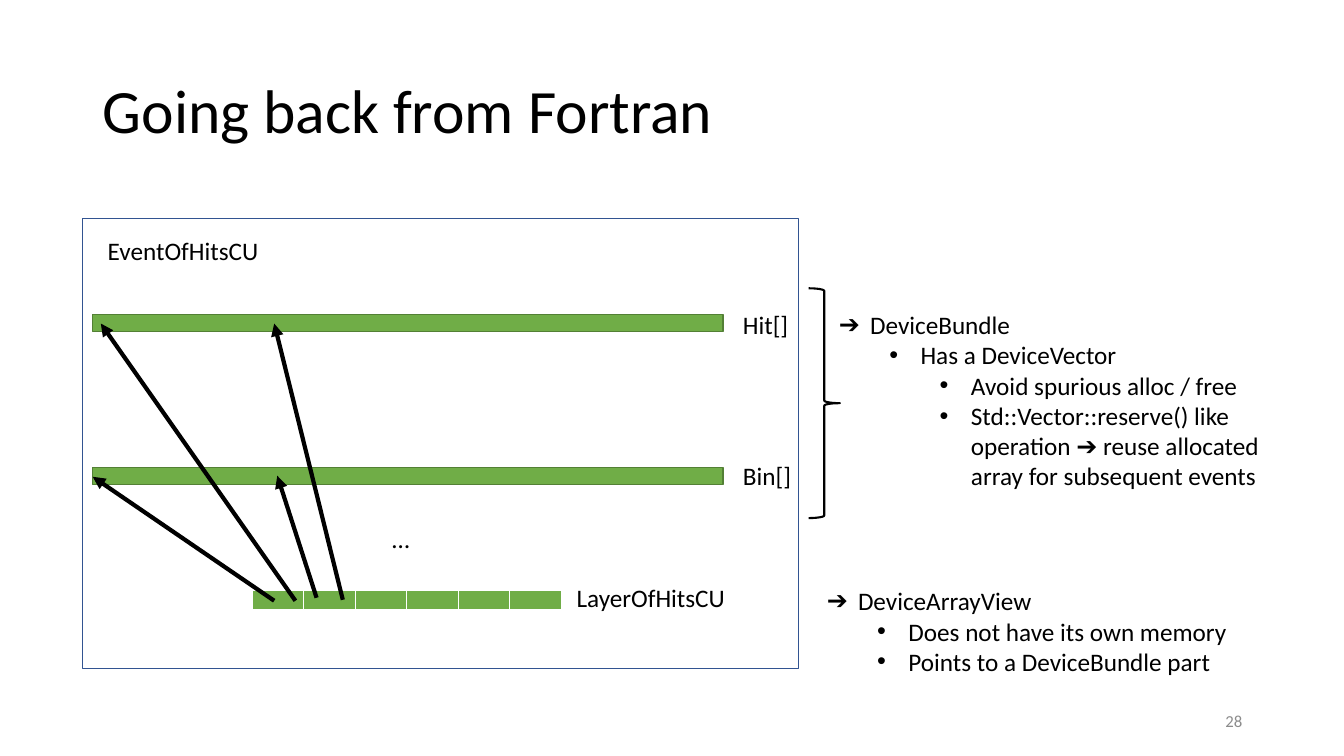
from dataclasses import dataclass
from typing import Any

from lxml import etree
from pptx import Presentation
from pptx.dml.color import RGBColor
from pptx.enum import shapes, text
from pptx.oxml import ns
from pptx import util as u

PX = 9144  # 100 px to the inch
FONT = "Calibri"
BLACK = RGBColor(0x00, 0x00, 0x00)
WHITE = RGBColor(0xFF, 0xFF, 0xFF)
GREY = RGBColor(0x8C, 0x8C, 0x8C)
GREEN = RGBColor(0x70, 0xAD, 0x47)
DARK_GREEN = RGBColor(0x53, 0x80, 0x35)
BLUE = RGBColor(0x32, 0x54, 0x91)

BULLETS = "➔••"
INDENT, LEVEL_STEP = 31, 50
LAYER_COUNT = 6
BORDERS = {"lnL": 1, "lnR": 1, "lnT": 1, "lnB": 3}

LABEL_FRAME = {"word_wrap": False, "auto_size": text.MSO_AUTO_SIZE.SHAPE_TO_FIT_TEXT}
LIST_FRAME = {"word_wrap": True, "auto_size": text.MSO_AUTO_SIZE.NONE,
              "vertical_anchor": text.MSO_ANCHOR.TOP}
MIDDLE_FRAME = LIST_FRAME | {"vertical_anchor": text.MSO_ANCHOR.MIDDLE}
TITLE_PARA = {"alignment": text.PP_ALIGN.LEFT, "line_spacing": 0.9}
LIST_PARA = {"alignment": text.PP_ALIGN.LEFT, "space_before": u.Pt(0)}
NUMBER_PARA = {"alignment": text.PP_ALIGN.RIGHT}


@dataclass(frozen=True)
class Area:
    left: int
    top: int
    width: int
    height: int

    def emu(self) -> list[int]:
        return [side * PX for side in (self.left, self.top, self.width, self.height)]


@dataclass(frozen=True)
class Outline:
    kind: shapes.MSO_SHAPE
    area: Area
    color: RGBColor
    weight: float
    fill: RGBColor | None = None


@dataclass(frozen=True)
class Label:
    words: str
    area: Area


@dataclass(frozen=True)
class Arrow:
    start: tuple[int, int]
    end: tuple[int, int]


@dataclass(frozen=True)
class Notes:
    area: Area
    items: list[tuple[int, str]]


RECT = shapes.MSO_SHAPE.RECTANGLE
BARS = [Outline(RECT, Area(92, top, 625, 17), DARK_GREEN, 1, GREEN) for top in (464, 312)]
FRAMES = [
    Outline(RECT, Area(82, 217, 710, 446), BLUE, 1),
    Outline(shapes.MSO_SHAPE.RIGHT_BRACE, Area(802, 286, 31, 228), BLACK, 1.5),
]
LABELS = [
    Label("Hit[]", Area(727, 302, 66, 40)),
    Label("Bin[]", Area(727, 452, 68, 40)),
    Label("LayerOfHitsCU", Area(562, 573, 169, 40)),
    Label("…", Area(379, 514, 38, 40)),
    Label("EventOfHitsCU", Area(97, 229, 171, 40)),
]
ARROWS = [
    Arrow((293, 596), (100, 321)),
    Arrow((272, 596), (92, 473)),
    Arrow((340, 595), (272, 321)),
    Arrow((314, 593), (275, 472)),
]
NOTES = [
    Notes(Area(822, 302, 476, 192), [
        (0, "DeviceBundle"),
        (1, "Has a DeviceVector"),
        (2, "Avoid spurious alloc / free"),
        (2, "Std::Vector::reserve() like operation ➔ reuse allocated array for subsequent events"),
    ]),
    Notes(Area(810, 576, 422, 101), [
        (0, "DeviceArrayView"),
        (1, "Does not have its own memory"),
        (1, "Points to a DeviceBundle part"),
    ]),
]


def apply(target: Any, values: dict[str, Any]) -> None:
    for name, value in values.items():
        setattr(target, name, value)


def add_xml(parent: Any, tag: str, **attributes: str) -> Any:
    return etree.SubElement(parent, ns.qn(f"a:{tag}"), attributes)


def write(para: Any, words: str, size: int = 18, color: RGBColor = BLACK) -> None:
    span = para.add_run()
    span.text = words
    apply(span.font, {"name": FONT, "size": u.Pt(size)})
    span.font.color.rgb = color


def place(box: Any, area: Area) -> None:
    apply(box, dict(zip(("left", "top", "width", "height"), area.emu())))


def draw_title(box: Any, words: str) -> None:
    place(box, Area(92, 40, 1150, 145))
    apply(box.text_frame, MIDDLE_FRAME)
    para = box.text_frame.paragraphs[0]
    apply(para, TITLE_PARA)
    write(para, words, 44)


def draw_outline(page: Any, outline: Outline) -> None:
    box = page.shapes.add_shape(outline.kind, *outline.area.emu())
    box.shadow.inherit = False
    if outline.fill is None:
        box.fill.background()
    else:
        box.fill.solid()
        box.fill.fore_color.rgb = outline.fill
    box.line.color.rgb = outline.color
    box.line.width = u.Pt(outline.weight)


def draw_layers(page: Any) -> None:
    area = Area(250, 586, 307, 20)
    table = page.shapes.add_table(1, LAYER_COUNT, *area.emu()).table
    for column in table.columns:
        column.width = area.width * PX // LAYER_COUNT
    for cell in table.iter_cells():
        apply(cell, dict.fromkeys(("margin_top", "margin_bottom"), 0))
        add_xml(cell.text_frame.paragraphs[0]._p, "endParaRPr", sz="600")
        properties = cell._tc.get_or_add_tcPr()
        for tag, points in BORDERS.items():
            border = add_xml(properties, tag, w=str(u.Pt(points)))
            add_xml(add_xml(border, "solidFill"), "srgbClr", val=str(WHITE))
        cell.fill.solid()
        cell.fill.fore_color.rgb = GREEN


def draw_label(page: Any, label: Label) -> None:
    frame = page.shapes.add_textbox(*label.area.emu()).text_frame
    apply(frame, LABEL_FRAME)
    write(frame.paragraphs[0], label.words)


def draw_arrow(page: Any, arrow: Arrow) -> None:
    ends = [value * PX for value in arrow.start + arrow.end]
    line = page.shapes.add_connector(shapes.MSO_CONNECTOR.STRAIGHT, *ends)
    line.line.color.rgb = BLACK
    line.line.width = u.Pt(3)
    properties = line._element.spPr
    add_xml(properties.find(ns.qn("a:ln")), "tailEnd", type="triangle")
    add_xml(properties, "effectLst")


def draw_notes(box: Any, notes: Notes) -> None:
    place(box, notes.area)
    frame = box.text_frame
    apply(frame, LIST_FRAME)
    for index, (level, words) in enumerate(notes.items):
        para = frame.add_paragraph() if index else frame.paragraphs[0]
        properties = para._p.get_or_add_pPr()
        properties.set("marL", str((INDENT + LEVEL_STEP * level) * PX))
        properties.set("indent", str(-INDENT * PX))
        add_xml(properties, "buFont", typeface="Arial" if level else FONT)
        add_xml(properties, "buChar", char=BULLETS[level])
        apply(para, LIST_PARA | {"level": level})
        write(para, words)


def draw_page_number(page: Any, number: str) -> None:
    frame = page.shapes.add_textbox(*Area(942, 695, 300, 40).emu()).text_frame
    apply(frame, MIDDLE_FRAME)
    apply(frame.paragraphs[0], NUMBER_PARA)
    write(frame.paragraphs[0], number, 12, GREY)


def main() -> None:
    deck = Presentation()
    apply(deck, {"slide_width": 1333 * PX, "slide_height": 750 * PX})
    page = deck.slides.add_slide(deck.slide_layouts.get_by_name("Two Content"))
    title, *bodies = page.placeholders
    draw_title(title, "Going back from Fortran")
    for body, notes in zip(bodies, NOTES):
        draw_notes(body, notes)
    for bar in BARS:
        draw_outline(page, bar)
    draw_layers(page)
    for label in LABELS:
        draw_label(page, label)
    for arrow in ARROWS:
        draw_arrow(page, arrow)
    for frame in FRAMES:
        draw_outline(page, frame)
    draw_page_number(page, "28")
    deck.save("out.pptx")


if __name__ == "__main__":
    main()
